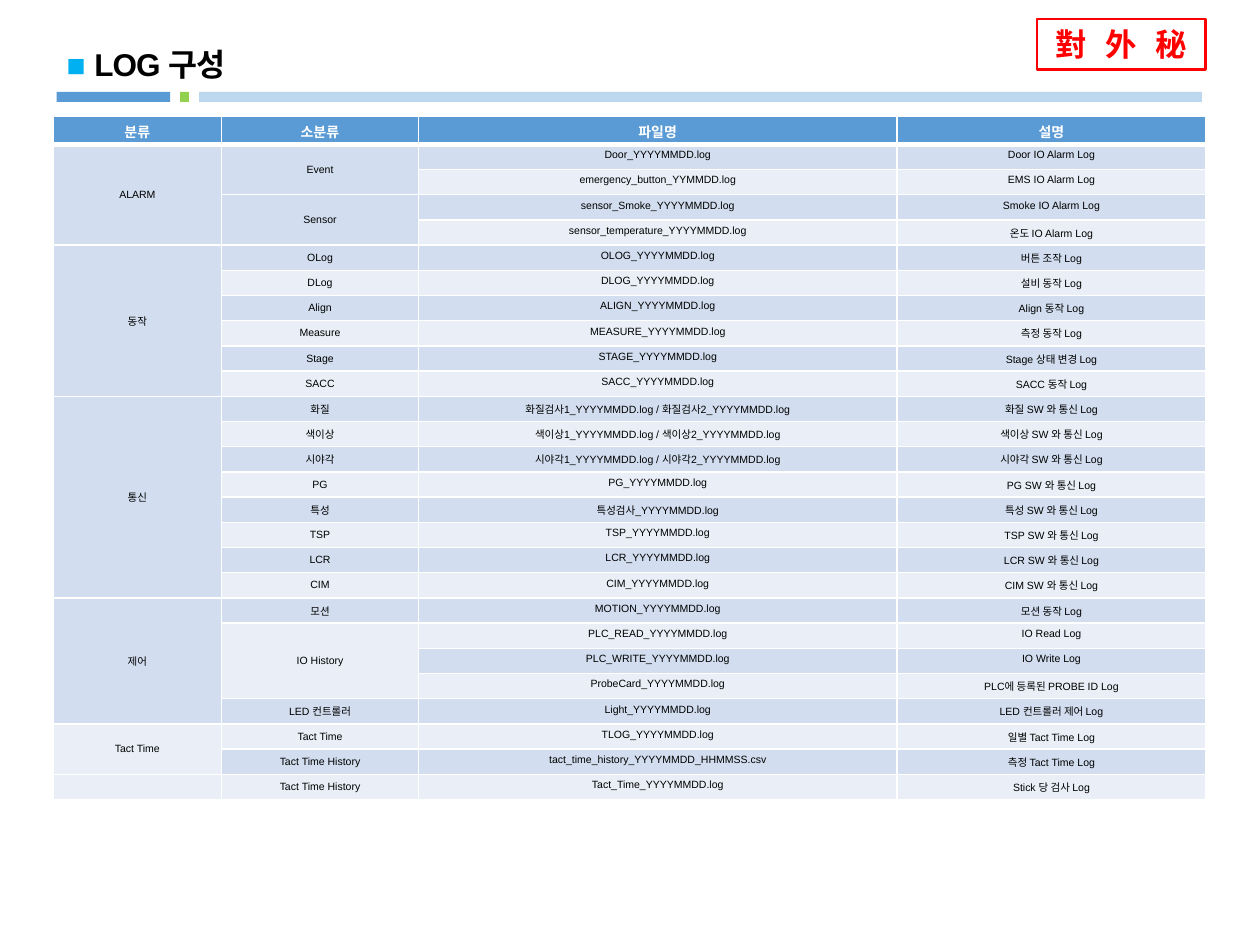
from lxml.etree import SubElement
from pptx import Presentation
from pptx.dml.color import RGBColor as RGB
from pptx.enum.shapes import MSO_SHAPE as Shape
from pptx.enum.text import MSO_ANCHOR as Anchor, PP_ALIGN as Align
from pptx.oxml.ns import qn
from pptx.util import Inches, Pt

COLORS = {
    "white": "FFFFFF", "black": "000000", "red": "FF0000", "cyan": "00B0F0",
    "blue": "5B9BD5", "pale": "BDD7EE", "green": "92D050",
    "odd": "D2DEEF", "even": "EAEFF7",
}
KOREAN = "Noto Sans CJK KR"
HEAD = dict(size=8, name="Calibri", bold=True, color="white")
BODY = dict(size=6, name="Arial", bold=False, color="black")
TITLE = dict(size=18, name="Arial", bold=True, color="black")
STAMP = dict(size=18, name=KOREAN, bold=True, color="red")

COLS = [13.4, 15.6, 38, 24.5]
# None continues the cell above
ROWS = [
    ("분류", "소분류", "파일명", "설명"),
    ("ALARM", "Event", "Door_YYYYMMDD.log", "Door IO Alarm Log"),
    (None, None, "emergency_button_YYMMDD.log", "EMS IO Alarm Log"),
    (None, "Sensor", "sensor_Smoke_YYYYMMDD.log", "Smoke IO Alarm Log"),
    (None, None, "sensor_temperature_YYYYMMDD.log", "온도 IO Alarm Log"),
    ("동작", "OLog", "OLOG_YYYYMMDD.log", "버튼 조작 Log"),
    (None, "DLog", "DLOG_YYYYMMDD.log", "설비 동작 Log"),
    (None, "Align", "ALIGN_YYYYMMDD.log", "Align 동작 Log"),
    (None, "Measure", "MEASURE_YYYYMMDD.log", "측정 동작 Log"),
    (None, "Stage", "STAGE_YYYYMMDD.log", "Stage 상태 변경 Log"),
    (None, "SACC", "SACC_YYYYMMDD.log", "SACC 동작 Log"),
    ("통신", "화질", "화질검사1_YYYYMMDD.log / 화질검사2_YYYYMMDD.log", "화질 SW 와 통신 Log"),
    (None, "색이상", "색이상1_YYYYMMDD.log / 색이상2_YYYYMMDD.log", "색이상 SW 와 통신 Log"),
    (None, "시야각", "시야각1_YYYYMMDD.log / 시야각2_YYYYMMDD.log", "시야각 SW 와 통신 Log"),
    (None, "PG", "PG_YYYYMMDD.log", "PG SW 와 통신 Log"),
    (None, "특성", "특성검사_YYYYMMDD.log", "특성 SW 와 통신 Log"),
    (None, "TSP", "TSP_YYYYMMDD.log", "TSP SW 와 통신 Log"),
    (None, "LCR", "LCR_YYYYMMDD.log", "LCR SW 와 통신 Log"),
    (None, "CIM", "CIM_YYYYMMDD.log", "CIM SW 와 통신 Log"),
    ("제어", "모션", "MOTION_YYYYMMDD.log", "모션 동작 Log"),
    (None, "IO History", "PLC_READ_YYYYMMDD.log", "IO Read Log"),
    (None, None, "PLC_WRITE_YYYYMMDD.log", "IO Write Log"),
    (None, None, "ProbeCard_YYYYMMDD.log", "PLC에 등록된 PROBE ID Log"),
    (None, "LED 컨트롤러", "Light_YYYYMMDD.log", "LED 컨트롤러 제어 Log"),
    ("Tact Time", "Tact Time", "TLOG_YYYYMMDD.log", "일별 Tact Time Log"),
    (None, "Tact Time History", "tact_time_history_YYYYMMDD_HHMMSS.csv", "측정 Tact Time Log"),
    ("", "Tact Time History", "Tact_Time_YYYYMMDD.log", "Stick 당 검사 Log"),
]


def unit(n):
    """Length of n grid steps; the slide is 100 columns by 75 rows."""
    return Inches(round(n / 10, 3))


def paint(fill, color):
    fill.solid()
    fill.fore_color.rgb = RGB.from_string(COLORS[color])


class Deck:
    def __init__(self):
        self.file = Presentation()
        self.file.slide_width, self.file.slide_height = unit(100), unit(75)
        self.slide = self.file.slides.add_slide(self.file.slide_layouts[6])
        self.shapes = self.slide.shapes

    def run(self, para, text, style, gap=0):
        """Add a styled run; gap is the letter spacing in points."""
        run = para.add_run()
        run.text = text
        for key, value in style.items():
            if key == "color":
                paint(run.font.fill, value)
            else:
                setattr(run.font, key, Pt(value) if key == "size" else value)
        props = run.font._element
        SubElement(props, qn("a:ea"), typeface=KOREAN)
        if gap:
            props.set("spc", str(int(gap * 100)))

    def rect(self, box, fill=None, line=None):
        shape = self.shapes.add_shape(Shape.RECTANGLE, *map(unit, box))
        shape.shadow.inherit = False
        if fill:
            paint(shape.fill, fill)
        else:
            shape.fill.background()
        if line:
            paint(shape.line.fill, line)
            shape.line.width = Pt(1.5)
        else:
            shape.line.fill.background()
        return shape

    def stamp(self, box, text):
        frame = self.rect(box, line="red").text_frame
        frame.vertical_anchor = Anchor.MIDDLE
        para = frame.paragraphs[0]
        para.alignment = Align.CENTER
        self.run(para, text, STAMP, 3.3)

    def title(self, box, text):
        frame = self.shapes.add_textbox(*map(unit, box)).text_frame
        frame.word_wrap = True
        para = frame.paragraphs[0]
        para.line_spacing = 1.1
        self.run(para, "■ ", {**TITLE, "color": "cyan"})
        self.run(para, text, TITLE, -0.5)

    def edges(self, cell, base):
        props = cell._tc.get_or_add_tcPr()
        for side in "LRTB":
            width = base if side == "B" else 1
            line = SubElement(props, qn(f"a:ln{side}"), w=str(Pt(width)))
            fill = SubElement(line, qn("a:solidFill"))
            SubElement(fill, qn("a:srgbClr"), val=COLORS["white"])

    def cell(self, cell, text, row, col):
        head = row == 0
        style = HEAD if head else BODY
        mid = not head and col < 2
        cell.vertical_anchor = Anchor.MIDDLE if mid else Anchor.TOP
        cell.margin_top = 0 if mid else unit(0.4)
        cell.margin_bottom = 0
        self.edges(cell, 3 if head else 1)
        paint(cell.fill, "blue" if head else "odd" if row % 2 else "even")
        para = cell.text_frame.paragraphs[0]
        para.alignment = Align.CENTER
        if text:
            self.run(para, text, style)
        else:
            SubElement(para._p, qn("a:endParaRPr"), sz=str(style["size"] * 100))

    def table(self, left, top, cols, rows, first, step):
        high = first + step * (len(rows) - 1)
        box = map(unit, (left, top, sum(cols), high))
        table = self.shapes.add_table(len(rows), len(cols), *box).table
        for col, width in zip(table.columns, cols):
            col.width = unit(width)
        for i, row in enumerate(rows):
            table.rows[i].height = unit(step if i else first)
            for j, text in enumerate(row):
                self.cell(table.cell(i, j), text, i, j)
        for j in range(len(cols)):
            heads = [i for i, row in enumerate(rows) if row[j] is not None]
            for start, end in zip(heads, heads[1:] + [len(rows)]):
                if end - start > 1:
                    table.cell(start, j).merge(table.cell(end - 1, j))


def main():
    deck = Deck()
    for left, width, color in ((15.8, 79.6, "pale"), (4.5, 9, "blue"), (14.3, 0.7, "green")):
        deck.rect((left, 7.3, width, 0.8), color)
    deck.stamp((82.3, 1.5, 13.4, 4), "對 外 秘")
    deck.table(4.2, 9.2, COLS, ROWS, 2.25, 2)
    deck.title((4.3, 2.8, 71.7, 4.1), "LOG 구성")
    deck.file.save("out.pptx")


if __name__ == "__main__":
    main()
